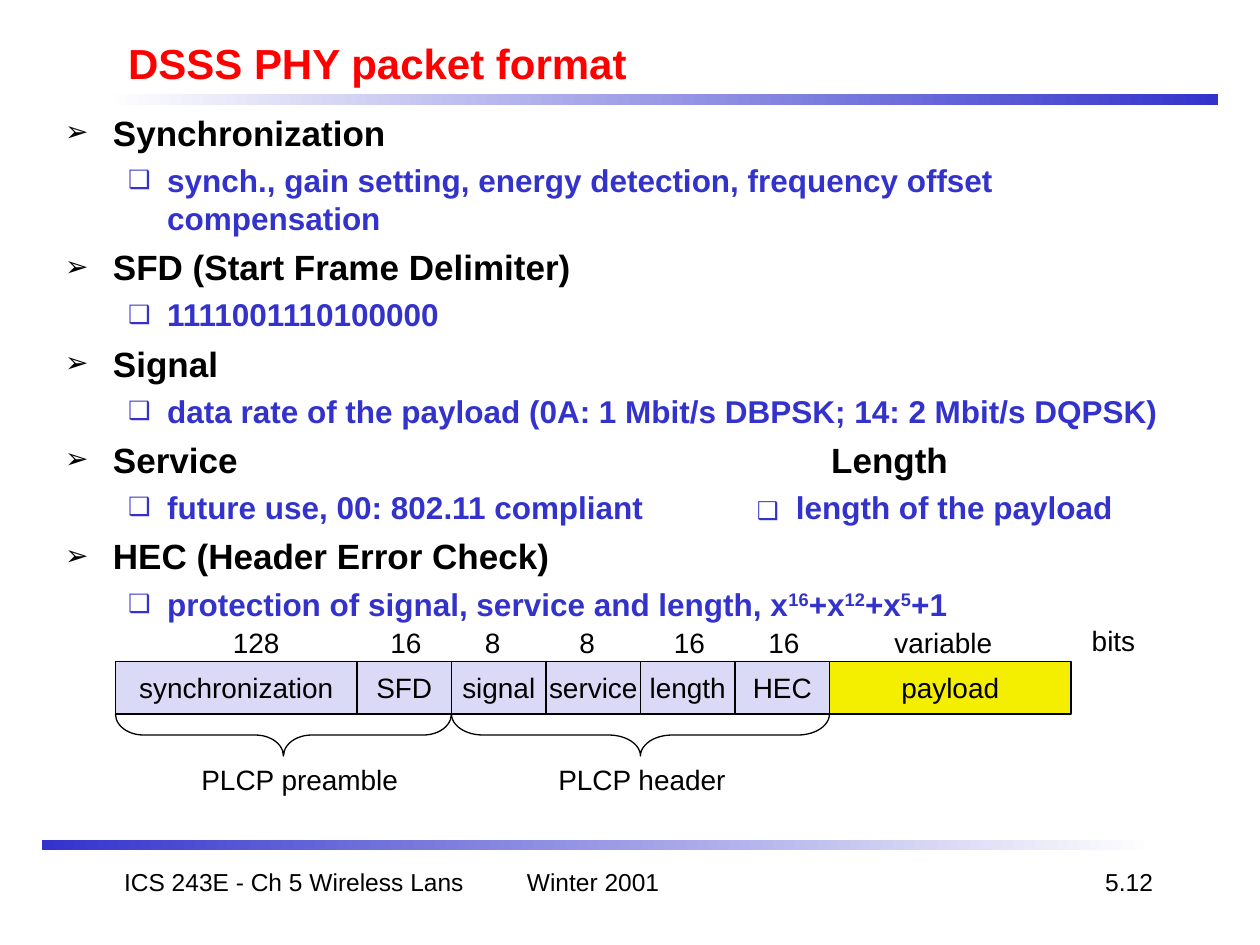
import pptx
import pptx.util
import pptx.dml.color
import pptx.enum.shapes
import pptx.enum.text
from lxml import etree
from pptx.oxml.ns import qn

RGB = pptx.dml.color.RGBColor
SHAPE = pptx.enum.shapes.MSO_SHAPE
ALIGN = pptx.enum.text.PP_ALIGN
ANCHOR = pptx.enum.text.MSO_ANCHOR
AUTO = pptx.enum.text.MSO_AUTO_SIZE

BLACK = RGB(0x00, 0x00, 0x00)
WHITE = RGB(0xFF, 0xFF, 0xFF)
RED = RGB(0xFF, 0x00, 0x00)
BLUE = RGB(0x33, 0x33, 0xCC)
LILAC = RGB(0xDA, 0xDA, 0xF6)
YELLOW = RGB(0xF4, 0xEE, 0x00)


def grid(*units):
    """Lengths on a grid of 120 columns by 90 rows, 12 to the inch."""
    return [pptx.util.Inches(u / 12) for u in units]


def add_run(p, text, size=16, color=BLACK, bold=False, sup=False):
    r = p.add_run()
    r.text = text
    r.font.name = "Arial"
    r.font.size = pptx.util.Pt(size)
    r.font.bold = bold
    r.font.color.rgb = color
    if sup:
        r._r.get_or_add_rPr().set("baseline", "30000")


def add_label(s, box, text, size=16, align=ALIGN.LEFT, wrap=False):
    tf = s.shapes.add_textbox(*grid(*box)).text_frame
    tf.word_wrap = wrap
    tf.auto_size = AUTO.NONE if wrap else AUTO.SHAPE_TO_FIT_TEXT
    tf.paragraphs[0].alignment = align
    add_run(tf.paragraphs[0], text, size)


def add_outline(s, kind, box, fill=None):
    sp = s.shapes.add_shape(kind, *grid(*box))
    sp.shadow.inherit = False
    sp.line.color.rgb = BLACK
    sp.line.width = pptx.util.Pt(0.75)
    if fill is None:
        sp.fill.background()
    else:
        sp.fill.solid()
        sp.fill.fore_color.rgb = fill
    return sp


def add_bar(s, box, start, end):
    sp = s.shapes.add_shape(SHAPE.RECTANGLE, *grid(*box))
    sp.shadow.inherit = False
    sp.line.fill.background()
    sp.fill.gradient()
    sp.fill.gradient_angle = 0
    for stop, color in zip(sp.fill.gradient_stops, (start, end)):
        stop.color.rgb = color


def place(sp, box):
    sp.left, sp.top, sp.width, sp.height = grid(*box)
    sp.text_frame.word_wrap = True
    sp.text_frame.auto_size = AUTO.NONE
    return sp.text_frame


def add_title(s, box, text):
    tf = place(s.shapes.title, box)
    tf.vertical_anchor = ANCHOR.MIDDLE
    tf.paragraphs[0].alignment = ALIGN.LEFT
    add_run(tf.paragraphs[0], text, 24, RED, bold=True)


def set_bullet(p, char, color, left, hang, tabs):
    pPr = p._p.get_or_add_pPr()
    pPr.set("marL", str(pptx.util.Inches(left)))
    pPr.set("indent", str(-pptx.util.Inches(hang)))
    clr = etree.SubElement(pPr, qn("a:buClr"))
    etree.SubElement(clr, qn("a:srgbClr"), val=str(color))
    etree.SubElement(pPr, qn("a:buSzPct"), val="80000")
    etree.SubElement(pPr, qn("a:buChar"), char=char)
    if tabs:
        lst = etree.SubElement(pPr, qn("a:tabLst"))
        for pos in tabs:
            etree.SubElement(lst, qn("a:tab"), pos=str(pptx.util.Inches(pos)), algn="l")


def add_list(s, box, items):
    """Each item: level, runs of (text, format), tab stops in inches."""
    tf = place(s.placeholders[1], box)
    for i, (level, runs, tabs) in enumerate(items):
        p = tf.add_paragraph() if i else tf.paragraphs[0]
        p.level = level
        char, color, size, left, hang = (
            ("❑", BLUE, 18, 0.81, 0.31) if level else ("➢", BLACK, 20, 0.38, 0.38))
        set_bullet(p, char, color, left, hang, tabs)
        p.space_before = pptx.util.Pt(size / 4 if i else 0)
        for text, fmt in runs:
            add_run(p, text, **{"size": size, "color": color, "bold": True, **fmt})


def add_packet(s, left, top, fields, groups):
    """Row of fields with bit counts above and braces below."""
    x = left
    for name, width, bits, bits_left, bits_width, fill in fields:
        sp = add_outline(s, SHAPE.RECTANGLE, (x, top + 4, width, 5), fill)
        tf = sp.text_frame
        tf.word_wrap = False
        tf.vertical_anchor = ANCHOR.MIDDLE
        tf.paragraphs[0].alignment = ALIGN.CENTER
        add_run(tf.paragraphs[0], name)
        add_label(s, (x + bits_left, top, bits_width, 4.4), bits)
        x += width
    add_label(s, (x + 0.8, top - 0.2, 6.5, 4.4), "bits")

    # A left brace turned to point down, 4 rows deep
    depth, x = 4, left
    for name, width, label_left, label_width in groups:
        middle = x + width / 2
        brace = add_outline(s, SHAPE.LEFT_BRACE,
                            (middle - depth / 2, top + 11 - width / 2, depth, width))
        brace.rotation = 270
        brace.adjustments[0] = width / 12 / depth
        add_label(s, (x + label_left, top + 13, label_width, 4.4), name)
        x += width


def add_footer(s, top):
    for left, width, text, align in (
            (9, 38, "ICS 243E - Ch 5 Wireless Lans", ALIGN.CENTER),
            (49, 25, "Winter 2001", ALIGN.LEFT),
            (86, 25, "5.12", ALIGN.RIGHT)):
        add_label(s, (left, top, width, 6), text, 14, align, wrap=True)


def line(level, text, *more, tabs=()):
    return level, [(text, {}), *more], tabs


ITEMS = [
    line(0, "Synchronization"),
    line(1, "synch., gain setting, energy detection, frequency offset compensation"),
    line(0, "SFD (Start Frame Delimiter)"),
    line(1, "1111001110100000"),
    line(0, "Signal"),
    line(1, "data rate of the payload (0A: 1 Mbit/s DBPSK; 14: 2 Mbit/s DQPSK)"),
    line(0, "Service\tLength", tabs=(6.08,)),
    line(1, "future use, 00: 802.11 compliant\t", ("❑", {"size": 14}),
         ("\tlength of the payload", {}), tabs=(5.49, 5.8)),
    line(0, "HEC (Header Error Check)"),
    line(1, "protection of signal, service and length, x", ("16", {"sup": True}),
         ("+x", {}), ("12", {"sup": True}), ("+x", {}), ("5", {"sup": True}), ("+1", {})),
]

# Name, columns, bits, offset and width of the bits label, fill
FIELDS = [
    ("synchronization", 23, "128", 10, 6.9, LILAC),
    ("SFD", 9, "16", 2, 5.4, LILAC),
    ("signal", 9, "8", 2, 3.9, LILAC),
    ("service", 9, "8", 2, 3.9, LILAC),
    ("length", 9, "16", 2, 5.4, LILAC),
    ("HEC", 9, "16", 2, 5.4, LILAC),
    ("payload", 23, "variable", 5, 11.8, YELLOW),
]

# Name, columns, offset and width of the label
GROUPS = [("PLCP preamble", 32, 7, 21.2), ("PLCP header", 36, 9, 18.5)]


def main():
    prs = pptx.Presentation()
    prs.slide_width, prs.slide_height = grid(120, 90)
    s = prs.slides.add_slide(prs.slide_layouts[1])
    add_bar(s, (10, 9, 106, 1), WHITE, BLUE)
    add_bar(s, (4, 80, 106, 1), BLUE, WHITE)
    add_title(s, (11, 3, 102, 6), "DSSS PHY packet format")
    add_list(s, (5, 10, 110, 70), ITEMS)
    add_packet(s, 11, 59, FIELDS, GROUPS)
    add_footer(s, 82)
    prs.save("out.pptx")


if __name__ == "__main__":
    main()
